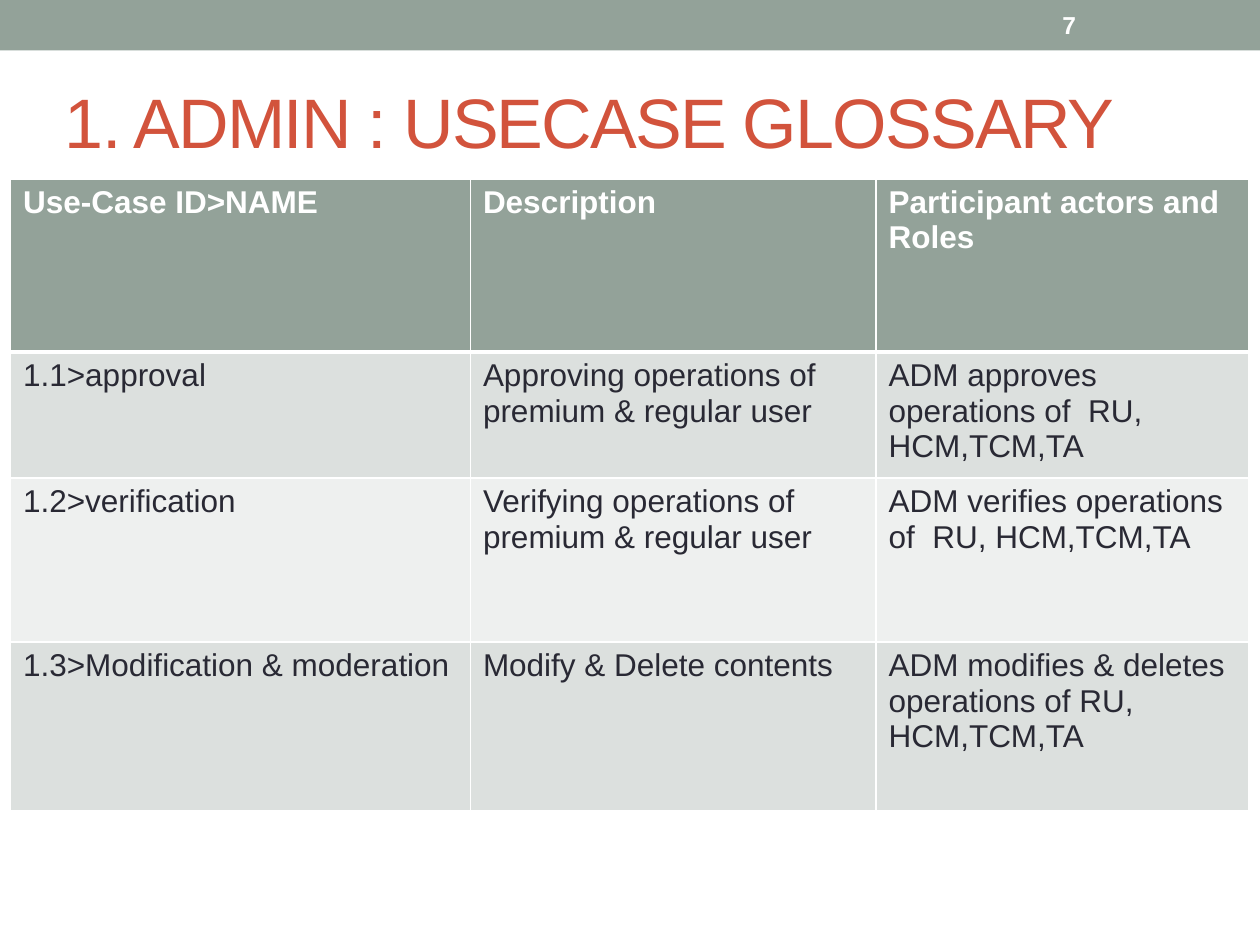
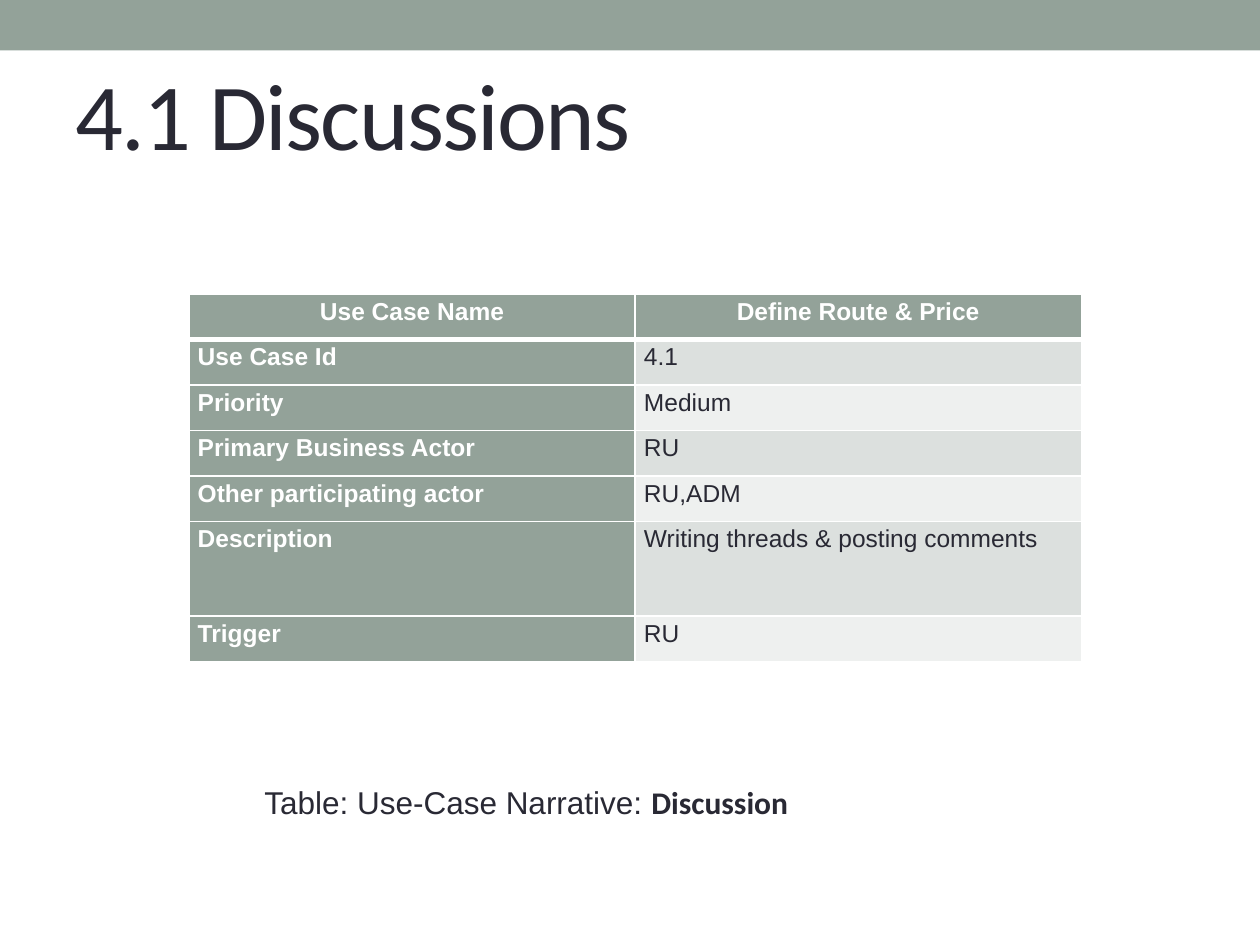
from lxml.etree import SubElement
from pptx import Presentation
from pptx.dml.color import RGBColor
from pptx.enum.shapes import MSO_SHAPE
from pptx.enum.text import MSO_ANCHOR, PP_ALIGN
from pptx.oxml.ns import qn
from pptx.util import Pt

SAGE = RGBColor(0x93, 0xA2, 0x99)
BAND_DARK = RGBColor(0xDC, 0xE0, 0xDE)
BAND_LIGHT = RGBColor(0xEE, 0xF0, 0xEF)
INK = RGBColor(0x29, 0x29, 0x34)
RUST = RGBColor(0xD2, 0x53, 0x3C)
WHITE = RGBColor(0xFF, 0xFF, 0xFF)


def add_text(tf, text, size=18, font="Arial", color=INK, bold=False,
             align=PP_ALIGN.LEFT, line_spacing=None, spacing=None):
    p = tf.paragraphs[0]
    p.alignment = align
    if line_spacing:
        p.line_spacing = line_spacing
    r = p.add_run()
    r.text = text
    r.font.size = Pt(size)
    r.font.name = font
    r.font.bold = bold
    r.font.color.rgb = color
    if spacing:
        r.font._element.set("spc", str(spacing * 100))


def add_grid(s, left, top, col_widths, row_heights, rows, side_header=False,
             margins=(7.2, 3.6), header_align=PP_ALIGN.LEFT, **fmt):
    table = s.shapes.add_table(len(rows), len(col_widths), Pt(left), Pt(top),
                               Pt(sum(col_widths)), Pt(sum(row_heights))).table
    for column, width in zip(table.columns, col_widths):
        column.width = Pt(width)
    for i, (height, values) in enumerate(zip(row_heights, rows)):
        table.rows[i].height = Pt(height)
        for j, value in enumerate(values):
            cell = table.cell(i, j)
            cell.margin_left = cell.margin_right = Pt(margins[0])
            cell.margin_top = cell.margin_bottom = Pt(margins[1])
            is_header = i == 0 or (side_header and j == 0)
            tc_pr = cell._tc.get_or_add_tcPr()
            for side in "LRTB":
                thick = (i, side) in ((0, "B"), (1, "T"))
                ln = SubElement(tc_pr, qn(f"a:ln{side}"), w=str(Pt(3 if thick else 1)))
                SubElement(SubElement(ln, qn("a:solidFill")), qn("a:srgbClr"), val=str(WHITE))
            cell.fill.solid()
            cell.fill.fore_color.rgb = SAGE if is_header else (BAND_LIGHT, BAND_DARK)[i % 2]
            add_text(cell.text_frame, value, color=WHITE if is_header else INK, bold=is_header,
                     align=header_align if i == 0 else PP_ALIGN.LEFT, **fmt)


prs = Presentation()
prs.slide_width, prs.slide_height = Pt(720), Pt(540)

titles = [
    ("1. ADMIN : USECASE GLOSSARY", (30, 30, 672, 78), MSO_ANCHOR.MIDDLE, 3.6,
     dict(size=40, color=RUST)),
    ("4.1 Discussions", (36, 24, 648, 122), MSO_ANCHOR.TOP, 8,
     dict(size=54, font="Calibri")),
]
for title, box, anchor, margin_top, fmt in titles:
    s = prs.slides.add_slide(prs.slide_layouts[6])
    sp = s.shapes.add_shape(MSO_SHAPE.RECTANGLE, 0, 0, prs.slide_width, Pt(28.8))
    sp.shadow.inherit = False
    sp.fill.solid()
    sp.fill.fore_color.rgb = SAGE
    sp.line.fill.background()
    tf = s.shapes.add_textbox(*map(Pt, box)).text_frame
    tf.word_wrap = True
    tf.vertical_anchor = anchor
    tf.margin_top = Pt(margin_top)
    add_text(tf, title, spacing=-1, **fmt)

glossary, discussions = prs.slides

add_grid(glossary, 6, 102.2, (262.8, 231.8, 213.1), (99, 66.5, 93.6, 96.5), [
    ("Use-Case ID>NAME", "Description", "Participant actors and Roles"),
    ("1.1>approval", "Approving operations of premium & regular user",
     "ADM approves operations of  RU, HCM,TCM,TA"),
    ("1.2>verification", "Verifying operations of premium & regular user",
     "ADM verifies operations of  RU, HCM,TCM,TA"),
    ("1.3>Modification & moderation", "Modify & Delete contents",
     "ADM modifies & deletes operations of RU, HCM,TCM,TA"),
])
tf = glossary.shapes.add_textbox(Pt(600), Pt(1.4), Pt(84), Pt(26)).text_frame
tf.word_wrap = True
tf.vertical_anchor = MSO_ANCHOR.MIDDLE
add_text(tf, "7", size=14, color=WHITE, bold=True)

add_grid(discussions, 108, 168, (255, 255), (26,) * 5 + (54, 26), [
    ("Use Case Name", "Define Route & Price"),
    ("Use Case Id", "4.1"),
    ("Priority", "Medium"),
    ("Primary Business Actor", "RU"),
    ("Other participating actor", "RU,ADM"),
    ("Description", "Writing threads & posting comments"),
    ("Trigger", "RU"),
], side_header=True, margins=(5, 0), header_align=PP_ALIGN.CENTER, size=14, line_spacing=1.15)
tf = discussions.shapes.add_textbox(Pt(144), Pt(444), Pt(408), Pt(29)).text_frame
tf.word_wrap = True
add_text(tf, "Table: Use-Case Narrative: ")
add_text(tf, "Discussion", font="Calibri", bold=True)

prs.save("out.pptx")
